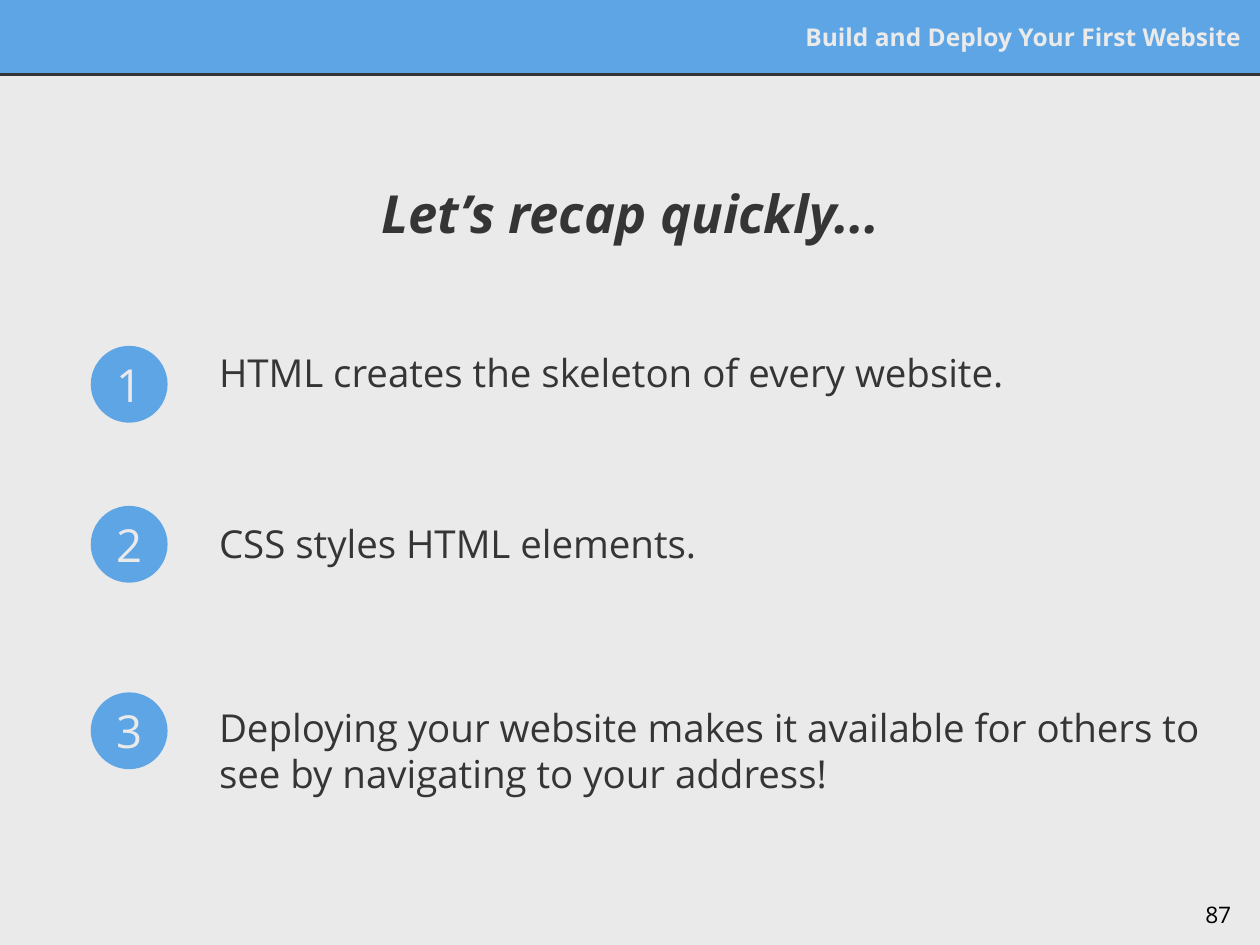
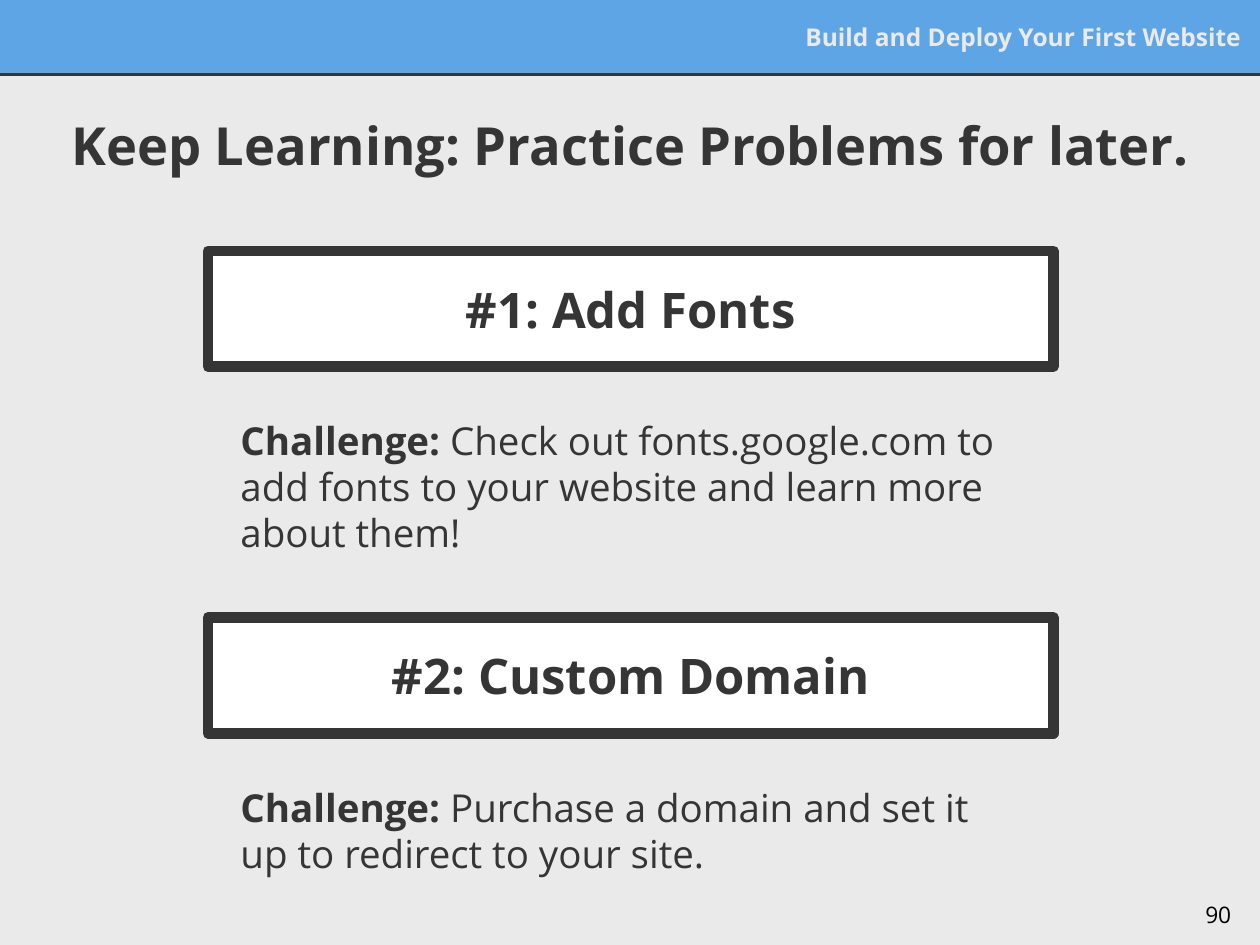
import pptx
import pptx.util
import pptx.dml.color
import pptx.enum.shapes
import pptx.enum.text
import lxml.etree

WIDTH, HEIGHT = 10, 7.5
BAND_HEIGHT = 0.59
BLUE, DARK, PALE, WHITE, BLACK = "5EA5E5", "353535", "EAEAEA", "FFFFFF", "000000"
COURSE = "Build and Deploy Your First Website"

ALIGN = pptx.enum.text.PP_ALIGN
ANCHOR = pptx.enum.text.MSO_ANCHOR
PRESET = pptx.enum.shapes.MSO_SHAPE
inches = pptx.util.Inches

BODY = {"size": 22, "color": DARK}
BADGE = {"size": 26, "color": PALE}
TITLE = {"size": 30, "color": DARK, "bold": True}
HEADING = {"size": 28, "color": DARK, "bold": True}
RUNNING_HEAD = {"size": 14, "color": PALE, "bold": True}
PAGE_NUMBER = {"size": 13, "color": BLACK}

RECAP = [
    # centre of badge, top and height of sentence
    (3.05, 2.54, 0.82, "HTML creates the skeleton of every website."),
    (4.32, 3.9, 0.82, "CSS styles HTML elements."),
    (5.8, 5.39, 1.12, "Deploying your website makes it available for others to "
                      "see by navigating to your address!"),
]
PROBLEMS = [
    ("#1: Add Fonts", "Check out fonts.google.com to add fonts to your website "
                      "and learn more about them!"),
    ("#2: Custom Domain", "Purchase a domain and set it up to redirect to your site."),
]


def rgb(value):
    return pptx.dml.color.RGBColor.from_string(value)


def write(shape, runs, align=ALIGN.LEFT, anchor=ANCHOR.MIDDLE):
    """Fill a shape with one paragraph of (text, format) runs."""
    frame = shape.text_frame
    settings = {"word_wrap": True, "vertical_anchor": anchor}
    settings.update({f"margin_{side}": inches(0.1)
                     for side in ("left", "top", "right", "bottom")})
    for name, value in settings.items():
        setattr(frame, name, value)
    paragraph = frame.paragraphs[0]
    paragraph.alignment = align
    for text, style in runs:
        run = paragraph.add_run()
        run.text = text
        run.font.name = "Open Sans"
        for name, value in style.items():
            if name == "color":
                run.font.color.rgb = rgb(value)
            else:
                setattr(run.font, name, pptx.util.Pt(value) if name == "size" else value)


def add_text(slide, box, runs, **layout):
    write(slide.shapes.add_textbox(*map(inches, box)), runs, **layout)


def add_block(slide, preset, box, fill, line=None, line_width=0.75):
    block = slide.shapes.add_shape(preset, *map(inches, box))
    block.shadow.inherit = False
    block.fill.solid()
    block.fill.fore_color.rgb = rgb(fill)
    if line:
        block.line.color.rgb = rgb(line)
        block.line.width = pptx.util.Pt(line_width)
        join = lxml.etree.SubElement(block.line._get_or_add_ln(),
                                     pptx.oxml.ns.qn("a:round"))
    else:
        block.line.fill.background()
    return block


def add_header(slide):
    add_block(slide, PRESET.RECTANGLE, (0, 0, WIDTH, BAND_HEIGHT), BLUE, BLUE)
    rule = slide.shapes.add_connector(
        pptx.enum.shapes.MSO_CONNECTOR.STRAIGHT,
        *map(inches, (0, BAND_HEIGHT, WIDTH, BAND_HEIGHT)))
    rule.line.color.rgb = rgb(DARK)
    rule.line.width = pptx.util.Pt(1.5)
    lxml.etree.SubElement(rule._element.spPr, pptx.oxml.ns.qn("a:effectLst"))
    add_text(slide, (6.24, 0.1, 3.71, 0.38), [(COURSE, RUNNING_HEAD)], align=ALIGN.RIGHT)


def start_slide(deck, title, title_top, title_height, number, **title_style):
    """Add a slide with the shared background, header, title and page number."""
    slide = deck.slides.add_slide(deck.slide_layouts[6])
    slide.background.fill.solid()
    slide.background.fill.fore_color.rgb = rgb(PALE)
    add_header(slide)
    add_text(slide, (0.18, title_top, 9.65, title_height),
             [(title, {**TITLE, **title_style})], align=ALIGN.CENTER)
    add_text(slide, (9.27, 7.05, 0.6, 0.45), [(str(number), PAGE_NUMBER)],
             align=ALIGN.RIGHT, anchor=ANCHOR.TOP)
    return slide


def add_recap_point(slide, number, badge_centre, box, sentence):
    """Place a sentence in the box and its numbered badge to the left."""
    left = box[0]
    diameter = 0.61
    badge = add_block(slide, PRESET.OVAL,
                      (left - 0.92, badge_centre - diameter / 2, diameter, diameter), BLUE)
    write(badge, [(str(number), BADGE)], align=ALIGN.CENTER)
    add_text(slide, box, [(sentence, BODY)])


def add_problem(slide, box, heading, challenge):
    """Place a framed heading at the top of the box and the challenge below."""
    left, top, width, height = box
    frame_height, challenge_offset = 0.92, 1.22
    add_text(slide, (left + 0.16, top + challenge_offset, width - 0.52,
                     height - challenge_offset),
             [("Challenge: ", {**BODY, "bold": True}), (challenge, BODY)],
             anchor=ANCHOR.TOP)
    frame = add_block(slide, PRESET.RECTANGLE, (left, top, width, frame_height),
                      WHITE, DARK, 6)
    write(frame, [(heading, HEADING)], align=ALIGN.CENTER)


def build_recap(deck):
    slide = start_slide(deck, "Let’s recap quickly...", 1.13, 1.12, 87, italic=True)
    for number, (centre, top, height, sentence) in enumerate(RECAP, 1):
        add_recap_point(slide, number, centre, (1.64, top, 8.14, height), sentence)


def build_practice(deck):
    slide = start_slide(deck, "Keep Learning: Practice Problems for later.", 0.71, 0.87, 90)
    first_top, pitch, height = 1.99, 2.91, 2.6
    for index, (heading, challenge) in enumerate(PROBLEMS):
        add_problem(slide, (1.65, first_top + index * pitch, 6.71, height),
                    heading, challenge)


def main():
    deck = pptx.Presentation()
    deck.slide_width, deck.slide_height = inches(WIDTH), inches(HEIGHT)
    build_recap(deck)
    build_practice(deck)
    deck.save("out.pptx")


if __name__ == "__main__":
    main()
